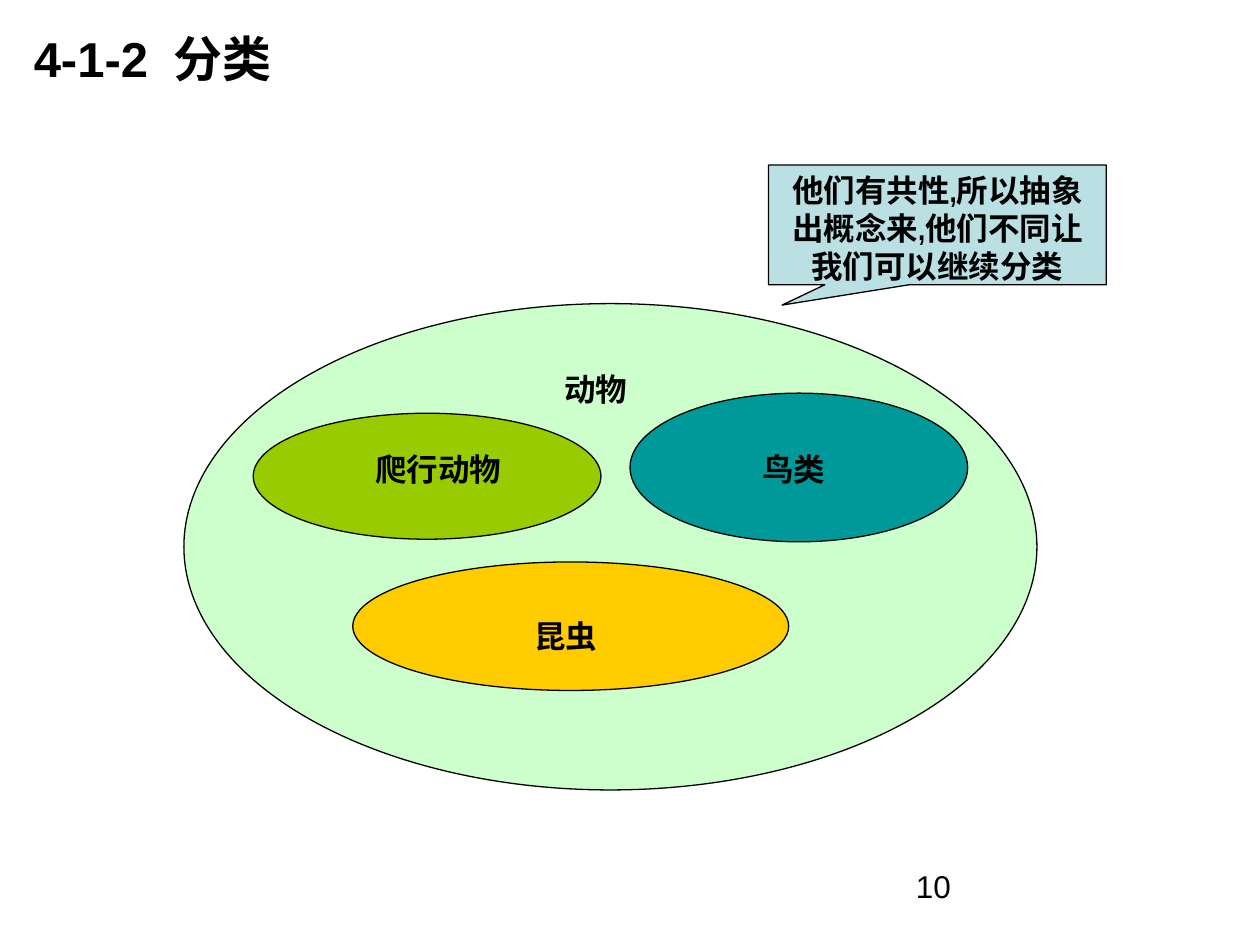
from dataclasses import dataclass

from lxml import etree
from pptx import Presentation
from pptx import util as u
from pptx.dml.color import RGBColor
from pptx.enum import shapes, text
from pptx.oxml import ns


@dataclass(frozen=True)
class Theme:
    ink: str = "000000"
    animals: str = "CCFFCC"
    reptiles: str = "99CC00"
    birds: str = "009999"
    insects: str = "FFCC00"
    remark: str = "BBE0E3"
    heading_font: str = "Arial"
    label_font: str = "Arial Narrow"
    heading_size: int = 28
    body_size: int = 18
    outline: float = 0.75


class SlideBuilder:
    def __init__(self, slide, theme):
        self.slide = slide
        self.theme = theme

    def set_words(self, holder, words, font_name, size, bold=True, align=None, tab=None):
        frame = holder.text_frame
        frame.text = words
        paragraph = frame.paragraphs[0]
        if align is not None:
            paragraph.alignment = align
        if tab is not None:
            stops = etree.SubElement(paragraph._p.get_or_add_pPr(), ns.qn("a:tabLst"))
            etree.SubElement(stops, ns.qn("a:tab"), pos=str(u.Inches(tab)), algn="l")
        font = paragraph.font
        font.name, font.size, font.bold = font_name, u.Pt(size), bold
        font.color.rgb = RGBColor.from_string(self.theme.ink)
        return frame

    def text_box(self, box, words, font_name, size, wrap=True, **style):
        holder = self.slide.shapes.add_textbox(*map(u.Inches, box))
        frame = self.set_words(holder, words, font_name, size, **style)
        frame.word_wrap = wrap
        return frame

    def heading(self, box, words, tab):
        frame = self.text_box(box, words, self.theme.heading_font,
                              self.theme.heading_size, tab=tab)
        frame.vertical_anchor = text.MSO_ANCHOR.MIDDLE

    def label(self, box, words):
        frame = self.text_box(box, words, self.theme.label_font, self.theme.body_size,
                              wrap=False, align=text.PP_ALIGN.CENTER)
        frame.auto_size = text.MSO_AUTO_SIZE.SHAPE_TO_FIT_TEXT

    def page_number(self, box, number):
        self.text_box(box, number, self.theme.heading_font,
                      self.theme.body_size, bold=False)

    def outlined(self, kind, box, fill):
        shape = self.slide.shapes.add_shape(kind, *map(u.Inches, box))
        shape.shadow.inherit = False
        shape.fill.solid()
        shape.fill.fore_color.rgb = RGBColor.from_string(fill)
        shape.line.color.rgb = RGBColor.from_string(self.theme.ink)
        shape.line.width = u.Pt(self.theme.outline)
        return shape

    def group(self, oval_box, fill, label_box, words):
        self.outlined(shapes.MSO_SHAPE.OVAL, oval_box, fill)
        self.label(label_box, words)

    def callout(self, box, tip, words):
        bubble = self.outlined(shapes.MSO_SHAPE.RECTANGULAR_CALLOUT, box, self.theme.remark)
        bubble.adjustments[0], bubble.adjustments[1] = tip
        frame = self.set_words(bubble, words, self.theme.label_font, self.theme.body_size,
                               align=text.PP_ALIGN.CENTER)
        frame.word_wrap = True
        frame.vertical_anchor = text.MSO_ANCHOR.TOP


def main():
    deck = Presentation()
    deck.slide_width, deck.slide_height = u.Inches(10), u.Inches(7.5)
    theme = Theme()
    builder = SlideBuilder(deck.slides.add_slide(deck.slide_layouts[6]), theme)

    builder.heading((0.17, 0, 7.5, 0.92), "4-1-2\t分类", tab=1.11)
    groups = [
        ((1.46, 2.41, 6.77, 3.86), theme.animals, (4.38, 2.89, 0.7, 0.4), "动物"),
        ((2.01, 3.28, 2.76, 1), theme.reptiles, (2.88, 3.52, 1.2, 0.4), "爬行动物"),
        ((5, 3.12, 2.68, 1.18), theme.birds, (5.95, 3.52, 0.7, 0.4), "鸟类"),
        ((2.8, 4.46, 3.46, 1.02), theme.insects, (4.14, 4.85, 0.7, 0.4), "昆虫"),
    ]
    for oval_box, fill, label_box, words in groups:
        builder.group(oval_box, fill, label_box, words)
    builder.callout((6.1, 1.31, 2.68, 0.95), (-0.46, 0.67),
                    "他们有共性,所以抽象出概念来,他们不同让我们可以继续分类")
    builder.page_number((7.17, 6.83, 2.33, 0.52), "10")

    deck.save("out.pptx")


if __name__ == "__main__":
    main()
